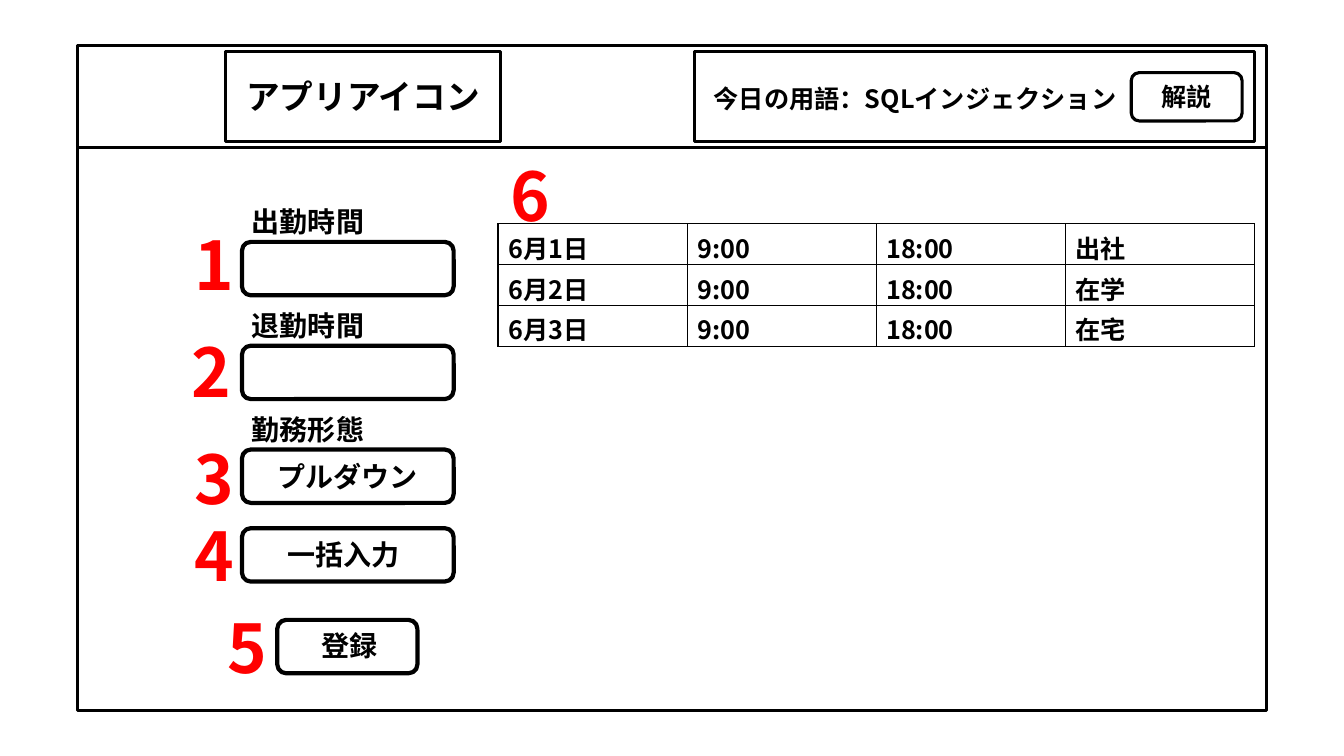
from dataclasses import dataclass

from lxml import etree
from pptx import Presentation
from pptx import util as u
from pptx.dml.color import RGBColor
from pptx.enum import shapes, text
from pptx.oxml import parse_xml
from pptx.oxml.ns import nsdecls, qn

BLACK = RGBColor(0, 0, 0)
RED = RGBColor(255, 0, 0)
FACE = "Noto Sans CJK JP"
RECT = shapes.MSO_SHAPE.RECTANGLE
ROUND = shapes.MSO_SHAPE.ROUNDED_RECTANGLE
LEFT = text.PP_ALIGN.LEFT
MID = text.PP_ALIGN.CENTER


@dataclass(frozen=True)
class Box:
    x: float
    y: float
    w: float
    h: float
    kind: shapes.MSO_SHAPE = ROUND
    line: float = 3
    words: str = ""
    size: int = 20


@dataclass(frozen=True)
class Label:
    words: str
    x: float
    y: float
    w: float
    h: float = 0.44
    size: int = 20


@dataclass(frozen=True)
class Mark:
    num: int
    x: float
    y: float


def write(frame, words: str, size: int, color: RGBColor = BLACK, align=LEFT) -> None:
    par = frame.paragraphs[0]
    par.alignment = align
    run = par.add_run()
    run.text = words
    for key, val in {"name": FACE, "size": u.Pt(size), "bold": True}.items():
        setattr(run.font, key, val)
    run.font.color.rgb = color
    east = etree.SubElement(run.font._element, qn("a:ea"))
    east.set("typeface", FACE)


def draw_box(home, box: Box) -> None:
    shape = home.add_shape(box.kind, *map(u.Inches, (box.x, box.y, box.w, box.h)))
    shape.shadow.inherit = False
    shape.fill.background()
    shape.line.color.rgb = BLACK
    shape.line.width = u.Pt(box.line)
    if box.words:
        shape.text_frame.vertical_anchor = text.MSO_ANCHOR.MIDDLE
        write(shape.text_frame, box.words, box.size, align=MID)


def draw_label(home, label: Label, color: RGBColor = BLACK, align=LEFT) -> None:
    area = map(u.Inches, (label.x, label.y, label.w, label.h))
    frame = home.add_textbox(*area).text_frame
    frame.word_wrap = True
    frame.auto_size = text.MSO_AUTO_SIZE.SHAPE_TO_FIT_TEXT
    write(frame, label.words, label.size, color, align)


def draw_group(home, box: Box, label: Label, *more: Box) -> None:
    group = home.add_group_shape().shapes
    draw_box(group, box)
    draw_label(group, label)
    for part in more:
        draw_box(group, part)


def draw_rule(home, x: float, y: float, end: float) -> None:
    rule = home.add_connector(shapes.MSO_CONNECTOR.STRAIGHT,
                              *map(u.Inches, (x, y, end, y)))
    rule.line.color.rgb = BLACK
    rule.line.width = u.Pt(2.25)
    etree.SubElement(rule._element.spPr, qn("a:effectLst"))


def draw_edges(cell) -> None:
    props = cell._tc.get_or_add_tcPr()
    for pos, side in enumerate("LRTB"):
        props.insert(pos, parse_xml(
            f'<a:ln{side} {nsdecls("a")} w="12700"><a:solidFill>'
            f'<a:srgbClr val="{BLACK}"/></a:solidFill></a:ln{side}>'))


def draw_table(home, rows: list[tuple[str, ...]]) -> None:
    area = map(u.Inches, (4.94, 2.22, 7.5, 1.22))
    table = home.add_table(len(rows), len(rows[0]), *area).table
    table.first_row = table.horz_banding = False
    for r, row in enumerate(rows):
        for c, words in enumerate(row):
            cell = table.cell(r, c)
            cell.fill.background()
            draw_edges(cell)
            write(cell.text_frame, words, 18)


FRAME = Box(0.77, 0.45, 11.79, 6.6, RECT, 2.25)
ICON = Box(2.24, 0.51, 2.72, 0.89, RECT, 2.25, "アプリアイコン", 24)
TERM = (
    Box(6.89, 0.51, 5.55, 0.89, RECT, 2.25),
    Label("今日の用語：SQLインジェクション", 6.98, 0.78, 4.58, 0.4, 18),
    Box(11.22, 0.72, 1.1, 0.48, ROUND, 2.25, "解説", 18),
)
FIELDS = [("出勤時間", ""), ("退勤時間", ""), ("勤務形態", "プルダウン")]
BUTTONS = [
    (Box(2.4, 5.24, 2.1, 0.53), Label("一括入力", 2.75, 5.28, 1.39)),
    (Box(2.75, 6.15, 1.39, 0.53), Label("登録", 3.09, 6.19, 0.92)),
]
DAYS = [("6月1日", "出社"), ("6月2日", "在学"), ("6月3日", "在宅")]
MARKS = [
    Mark(1, 1.69, 2.17), Mark(2, 1.66, 3.23), Mark(3, 1.69, 4.29),
    Mark(4, 1.69, 5.05), Mark(5, 2.01, 5.97), Mark(6, 4.82, 1.48),
]


def main() -> None:
    deck = Presentation()
    deck.slide_width, deck.slide_height = u.Inches(13.33), u.Inches(7.5)
    home = deck.slides.add_slide(deck.slide_layouts[6]).shapes

    # Window and header
    draw_box(home, FRAME)
    draw_rule(home, FRAME.x, 1.46, FRAME.x + FRAME.w)
    draw_box(home, ICON)
    draw_group(home, *TERM)

    # Entry form
    for i, (name, words) in enumerate(FIELDS):
        y = 2.4 + 1.03 * i
        draw_group(home, Box(2.4, y, 2.1, 0.53, words=words),
                   Label(name, 2.4, y - 0.42, 1.39))
    for box, label in BUTTONS:
        draw_group(home, box, label)

    # Work log
    draw_table(home, [(day, "9:00", "18:00", place) for day, place in DAYS])

    # Red numbers
    for mark in MARKS:
        draw_label(home, Label(str(mark.num), mark.x, mark.y, 0.88, 0.91, 48), RED, MID)

    deck.save("out.pptx")


if __name__ == "__main__":
    main()
